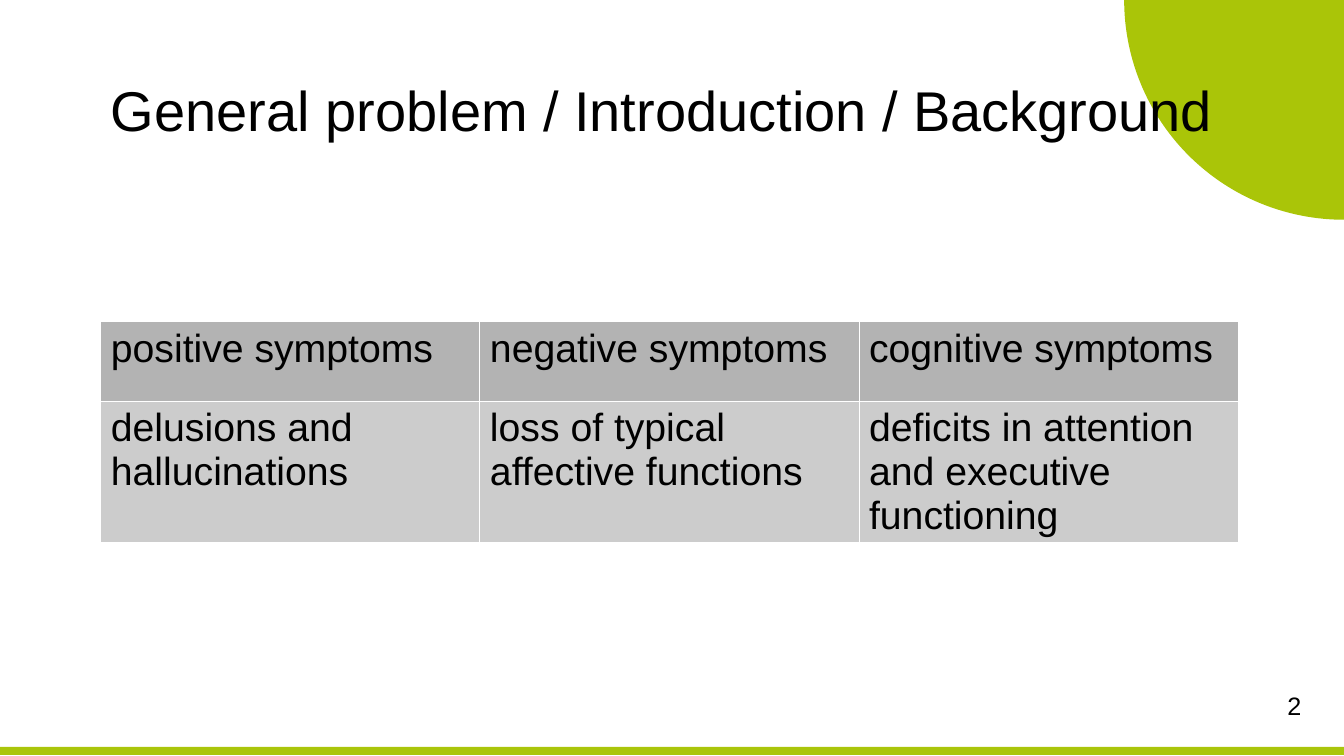
from lxml.etree import SubElement
from pptx import Presentation
from pptx.dml.color import RGBColor
from pptx.enum.shapes import MSO_SHAPE as Preset
from pptx.enum.text import MSO_ANCHOR as Anchor, MSO_AUTO_SIZE as AutoSize, PP_ALIGN as Align
from pptx.oxml.ns import qn
from pptx.util import Inches, Pt

WIDTH, HEIGHT = 13.33, 7.5
MARGIN = 1
BLACK = RGBColor(0x00, 0x00, 0x00)
WHITE = RGBColor(0xFF, 0xFF, 0xFF)
BAR_GREEN = RGBColor(0xAA, 0xC5, 0x0B)
CORNER_GREEN = RGBColor(0xAA, 0xC5, 0x08)
ROW_FILLS = (RGBColor(0xB3, 0xB3, 0xB3), RGBColor(0xCC, 0xCC, 0xCC))
SYMPTOMS = (
    ("positive symptoms", "negative symptoms", "cognitive symptoms"),
    ("delusions and hallucinations", "loss of typical affective functions",
     "deﬁcits in attention and executive functioning"),
)


def write_text(frame, text, size, color=BLACK, font="Arial", align=Align.LEFT, wrap=True):
    """Fill a text frame with one formatted paragraph."""
    frame.word_wrap = wrap
    frame.vertical_anchor = Anchor.TOP
    paragraph = frame.paragraphs[0]
    paragraph.alignment = align
    run = paragraph.add_run()
    run.text = text
    run.font.name = font
    run.font.size = Pt(size)
    run.font.color.rgb = color


def add_filled_shape(slide, preset, box, color):
    """Add a flat preset shape without outline."""
    shape = slide.shapes.add_shape(preset, *map(Inches, box))
    shape.shadow.inherit = False
    shape.fill.solid()
    shape.fill.fore_color.rgb = color
    shape.line.fill.background()
    return shape


def add_corner(slide, radius):
    """Add the quarter disc centred on the top right corner."""
    box = (WIDTH - radius, -radius, 2 * radius, 2 * radius)
    corner = add_filled_shape(slide, Preset.PIE, box, CORNER_GREEN)
    corner.adjustments[0] = 54
    corner.adjustments[1] = 108


def add_title(slide, text):
    """Write the title and bring it in front of the decoration."""
    title = slide.shapes.title
    title.left, title.top, title.width, title.height = map(Inches, (MARGIN, 0.7, 12.83, 1.49))
    title.text_frame.auto_size = AutoSize.NONE
    write_text(title.text_frame, text, 40)
    title.element.getparent().append(title.element)


def set_borders(cell, color, width):
    """Draw a solid line on all four sides of a cell."""
    properties = cell._tc.get_or_add_tcPr()
    for position, side in enumerate(("a:lnL", "a:lnR", "a:lnT", "a:lnB")):
        line = SubElement(properties, qn(side), w=str(Pt(width)))
        SubElement(SubElement(line, qn("a:solidFill")), qn("a:srgbClr"), val=str(color))
        properties.insert(position, line)


def add_symptom_table(slide, top, column_width, row_height):
    """Add the table with one fill for each row."""
    rows, columns = len(SYMPTOMS), len(SYMPTOMS[0])
    box = (MARGIN, top, columns * column_width, rows * row_height)
    table = slide.shapes.add_table(rows, columns, *map(Inches, box)).table
    table.horz_banding = False
    for row, (texts, fill) in enumerate(zip(SYMPTOMS, ROW_FILLS)):
        for column, text in enumerate(texts):
            cell = table.cell(row, column)
            cell.fill.solid()
            cell.fill.fore_color.rgb = fill
            set_borders(cell, WHITE, 0.75)
            write_text(cell.text_frame, text, 28)
            cell.text_frame.paragraphs[0].runs[0].font.bold = False


def add_page_number(slide, text):
    """Add the page number at the lower right."""
    box = slide.shapes.add_textbox(*map(Inches, (12.67, 6.8, 0.34, 0.38)))
    write_text(box.text_frame, text, 18, wrap=False)


def main():
    """Build the slide and save it."""
    presentation = Presentation()
    presentation.slide_width = Inches(WIDTH)
    presentation.slide_height = Inches(HEIGHT)
    slide = presentation.slides.add_slide(presentation.slide_layouts[5])
    add_filled_shape(slide, Preset.RECTANGLE, (0, 7.41, WIDTH, 0.08), BAR_GREEN)
    add_corner(slide, 2.18)
    add_symptom_table(slide, 3.19, 3.76, 0.79)
    add_title(slide, "General problem / Introduction / Background")
    add_page_number(slide, "2")
    presentation.save("out.pptx")


if __name__ == "__main__":
    main()
